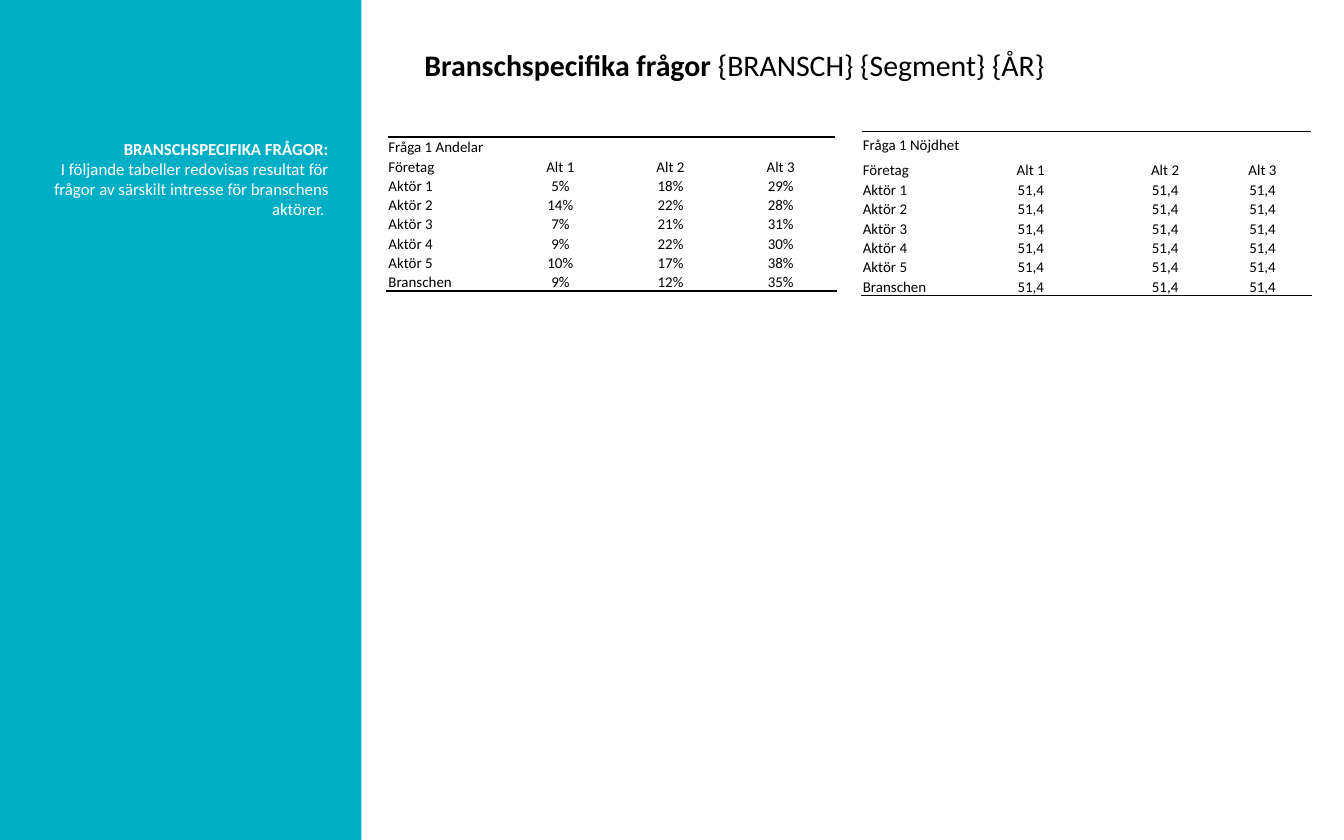
from lxml import etree
from pptx import Presentation
from pptx.dml.color import RGBColor
from pptx.enum.shapes import MSO_SHAPE
from pptx.enum.text import MSO_ANCHOR, PP_ALIGN
from pptx.oxml.ns import qn
from pptx.util import Inches, Pt

TEAL = RGBColor(0x00, 0xAE, 0xC5)
WHITE = RGBColor(0xFF, 0xFF, 0xFF)
BLACK = RGBColor(0x00, 0x00, 0x00)
FONT = "Calibri"
RECTANGLE = MSO_SHAPE.RECTANGLE
MIDDLE = MSO_ANCHOR.MIDDLE
LEFT, CENTER, RIGHT = PP_ALIGN.LEFT, PP_ALIGN.CENTER, PP_ALIGN.RIGHT

ROW_HEIGHT = 0.14
HEADER = ["Företag", "Alt 1", "Alt 2", "Alt 3"]
COMPANIES = [f"Aktör {number}" for number in range(1, 6)] + ["Branschen"]
SHARES = [
    ["5%", "18%", "29%"],
    ["14%", "22%", "28%"],
    ["7%", "21%", "31%"],
    ["9%", "22%", "30%"],
    ["10%", "17%", "38%"],
    ["9%", "12%", "35%"],
]
SATISFACTION = [["51,4"] * 3 for _ in COMPANIES]


def set_font(font, size, color, bold=None):
    font.name = FONT
    font.size = Pt(size)
    font.color.rgb = color
    font.bold = bold


def add_side_panel(slide):
    panel = slide.shapes.add_shape(
        RECTANGLE, Inches(-0.02), 0, Inches(2.71), Inches(6.25))
    panel.shadow.inherit = False
    panel.fill.solid()
    panel.fill.fore_color.rgb = TEAL
    panel.line.fill.background()


def add_text_frame(slide, left, top, width, height):
    box = slide.shapes.add_textbox(
        Inches(left), Inches(top), Inches(width), Inches(height))
    box.text_frame.word_wrap = True
    return box.text_frame


def add_title(slide):
    frame = add_text_frame(slide, 3.06, 0.12, 7.59, 0.72)
    frame.vertical_anchor = MIDDLE
    title = frame.paragraphs[0]
    set_font(title.font, 16, BLACK)
    topic = title.add_run()
    topic.text = "Branschspecifika frågor "
    topic.font.bold = True
    title.add_run().text = "{BRANSCH} {Segment} {ÅR}"


def add_introduction(slide):
    frame = add_text_frame(slide, 0.16, 0.98, 2.38, 1.31)
    heading = frame.paragraphs[0]
    heading.text = "BRANSCHSPECIFIKA FRÅGOR:"
    body = frame.add_paragraph()
    body.text = ("I följande tabeller redovisas resultat för frågor av "
                 "särskilt intresse för branschens aktörer. ")
    for paragraph in (heading, body):
        paragraph.alignment = RIGHT
        set_font(paragraph.font, 9, WHITE, bold=paragraph is heading)


def add_rule(cell, side):
    """Draw a black 1 pt border; side is lnT (top) or lnB (bottom)."""
    properties = cell._tc.get_or_add_tcPr()
    line = etree.Element(qn(f"a:{side}"), w=str(Pt(1)))
    fill = etree.SubElement(line, qn("a:solidFill"))
    etree.SubElement(fill, qn("a:srgbClr"), val=str(BLACK))
    properties.insert(0, line)


def format_cell(cell, text, alignment):
    cell.fill.background()
    cell.vertical_anchor = MIDDLE
    cell.margin_left = cell.margin_right = cell.margin_top = Inches(0.01)
    cell.margin_bottom = 0
    paragraph = cell.text_frame.paragraphs[0]
    paragraph.text = text
    paragraph.alignment = alignment
    set_font(paragraph.font, 8, BLACK)


def add_question_table(slide, left, top, widths, top_heights, question, values):
    """top_heights are those of the question row and the header row."""
    rows = [[question, "", "", ""], HEADER]
    rows += [[company, *row] for company, row in zip(COMPANIES, values)]
    heights = top_heights + [ROW_HEIGHT] * len(COMPANIES)
    table = slide.shapes.add_table(
        len(rows), len(HEADER), Inches(left), Inches(top),
        Inches(sum(widths)), Inches(sum(heights))).table
    table.first_row = False
    table.horz_banding = False
    for column, width in zip(table.columns, widths):
        column.width = Inches(width)
    for row, height in zip(table.rows, heights):
        row.height = Inches(height)
    for row, texts in zip(table.rows, rows):
        for index, (cell, text) in enumerate(zip(row.cells, texts)):
            format_cell(cell, text, CENTER if index else LEFT)
    for column in range(len(HEADER)):
        add_rule(table.cell(0, column), "lnT")
        add_rule(table.cell(len(rows) - 1, column), "lnB")
    table.cell(0, 0).merge(table.cell(0, len(HEADER) - 1))


def main():
    presentation = Presentation()
    presentation.slide_width = Inches(10)
    presentation.slide_height = Inches(6.25)
    slide = presentation.slides.add_slide(presentation.slide_layouts[6])
    add_side_panel(slide)
    add_title(slide)
    add_question_table(slide, 2.88, 1.02, [0.88, 0.82, 0.82, 0.82],
                       [ROW_HEIGHT, ROW_HEIGHT], "Fråga 1 Andelar", SHARES)
    add_question_table(slide, 6.41, 0.98, [0.62, 1.28, 0.72, 0.73],
                       [0.2, 0.16], "Fråga 1 Nöjdhet", SATISFACTION)
    add_introduction(slide)
    presentation.save("out.pptx")


if __name__ == "__main__":
    main()
